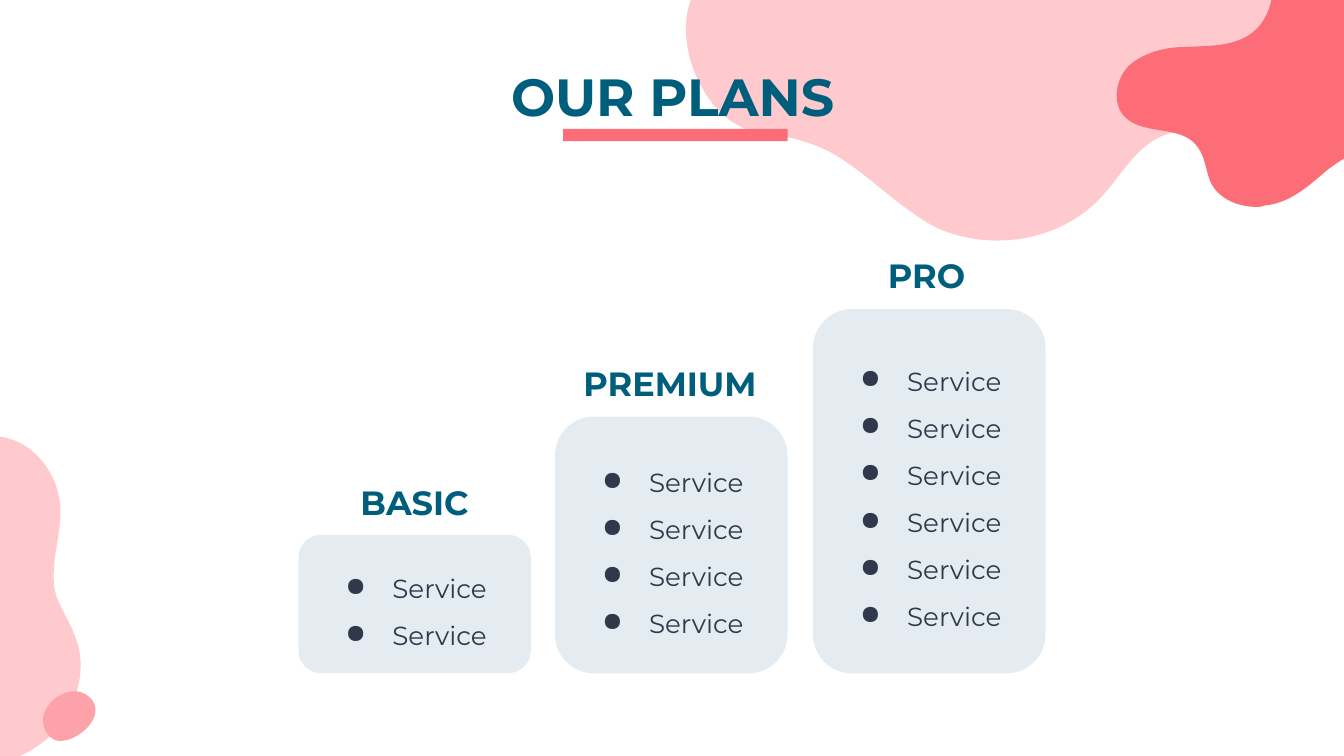
from dataclasses import dataclass

from lxml import etree
from pptx import Presentation
from pptx.dml.color import RGBColor
from pptx.enum.shapes import MSO_SHAPE
from pptx.enum.text import MSO_ANCHOR, PP_ALIGN
from pptx.oxml.ns import qn
from pptx.util import Pt

RECT, ROUND = MSO_SHAPE.RECTANGLE, MSO_SHAPE.ROUNDED_RECTANGLE
TOP, MIDDLE = MSO_ANCHOR.TOP, MSO_ANCHOR.MIDDLE
LEFT, CENTER = PP_ALIGN.LEFT, PP_ALIGN.CENTER
EMU_PER_PX = 9144  # 100 px to the inch


@dataclass(frozen=True)
class Theme:
    font: str = "Montserrat"
    heading: str = "005E7D"
    body: str = "30394B"
    card: str = "E4ECF1"
    accent: str = "FC6D78"
    blush: str = "FECACE"
    rose: str = "FDA2A9"
    title_size: int = 28
    label_size: int = 18
    body_size: int = 14


THEME = Theme()

# Blobs: start point, then cubic curves as (control, control, end)
TOP_BLOB = (625, -1), [
    (561, -1, 514, -1, 514, 0),
    (506, 21, 512, 49, 524, 68), (531, 80, 542, 91, 555, 96),
    (563, 99, 573, 100, 582, 101), (595, 104, 609, 108, 621, 115),
    (648, 131, 670, 156, 698, 170), (712, 176, 727, 179, 742, 179),
    (771, 179, 800, 168, 820, 146), (834, 131, 844, 111, 863, 102),
    (874, 97, 887, 96, 898, 93), (917, 87, 933, 74, 942, 57),
    (952, 40, 954, 19, 949, 0), (949, 0, 754, -1, 625, -1)]
CORNER_BLOB = (946, 0), [
    (944, 10, 939, 19, 931, 25), (917, 35, 899, 34, 882, 35),
    (867, 35, 852, 39, 841, 48), (830, 58, 827, 77, 837, 87),
    (851, 101, 878, 93, 890, 108), (897, 116, 897, 127, 901, 136),
    (907, 148, 921, 154, 935, 154), (937, 154, 939, 154, 941, 153),
    (960, 151, 973, 139, 987, 127), (991, 124, 995, 121, 1000, 118)]
LEFT_BLOB = (0, 568), [
    (18, 563, 35, 553, 47, 537), (55, 525, 60, 510, 60, 495),
    (60, 488, 59, 481, 56, 474), (52, 462, 44, 452, 41, 440),
    (40, 436, 40, 432, 40, 427), (40, 412, 45, 397, 45, 381),
    (45, 380, 45, 379, 45, 378), (44, 360, 35, 344, 22, 334),
    (15, 329, 8, 326, 0, 325)]
PEBBLE = (71, 529), [
    (71, 529, 71, 529, 71, 528), (71, 522, 66, 517, 60, 515),
    (48, 512, 34, 522, 32, 534), (32, 535, 32, 536, 32, 536),
    (32, 543, 36, 549, 42, 551), (48, 552, 53, 550, 58, 547),
    (61, 545, 65, 542, 67, 539), (69, 536, 71, 533, 71, 529)]

# Plans: name, label left and top, card left and height, list height, services
PLANS = [("BASIC", 222, 356, 222, 103, 63, 2),
         ("PREMIUM", 412, 267, 413, 191, 133, 4),
         ("PRO", 603, 187, 605, 271, 200, 6)]
CARD_W, CARD_BOTTOM, LABEL_H = 173, 501, 36


def px(n):
    return n * EMU_PER_PX


def paint(s, color):
    s.shadow.inherit = False
    s.fill.solid()
    s.fill.fore_color.rgb = RGBColor.from_string(color)
    s.line.fill.background()


def add_block(slide, kind, x, y, w, h, color):
    s = slide.shapes.add_shape(kind, px(x), px(y), px(w), px(h))
    paint(s, color)
    return s


def add_blob(slide, blob, color, corners=()):
    """Draw a closed outline of cubic curves, then any straight corners."""
    start, curves = blob
    points = [c[i:i + 2] for c in curves for i in (0, 2, 4)]
    builder = slide.shapes.build_freeform(*start, scale=EMU_PER_PX)
    builder.add_line_segments([*points, *corners], close=True)
    s = builder.convert_to_shape()
    paint(s, color)
    # Join each three line segments into one curve
    lines = list(s._element.iter(qn("a:lnTo")))
    for i in range(0, len(points), 3):
        curve = etree.Element(qn("a:cubicBezTo"))
        lines[i].addprevious(curve)
        for line in lines[i:i + 3]:
            curve.append(line[0])
            line.getparent().remove(line)


def add_bullet(p):
    pPr = p._p.get_or_add_pPr()
    pPr.set("marL", str(px(50)))
    pPr.set("indent", str(px(-35)))
    clr = etree.SubElement(pPr, qn("a:buClr"))
    etree.SubElement(clr, qn("a:srgbClr"), val=THEME.body)
    etree.SubElement(pPr, qn("a:buChar"), char="●")


def add_text(slide, lines, x, y, w, h, *, size, color, bold=False,
             align=CENTER, anchor=MIDDLE, inset=10, bullets=False):
    tf = slide.shapes.add_textbox(px(x), px(y), px(w), px(h)).text_frame
    tf.word_wrap = True
    tf.vertical_anchor = anchor
    tf.margin_left = px(inset)
    tf.margin_right = tf.margin_top = tf.margin_bottom = px(10)
    for i, line in enumerate(lines):
        p = tf.add_paragraph() if i else tf.paragraphs[0]
        p.alignment = align
        if bullets:
            p.line_spacing = 1.5
            p.space_before = Pt(0 if i else 10)
            add_bullet(p)
        r = p.add_run()
        r.text = line
        r.font.name, r.font.size, r.font.bold = THEME.font, Pt(size), bold
        r.font.color.rgb = RGBColor.from_string(color)


def add_plan(slide, name, label_x, label_y, left, card_h, list_h, count):
    top = CARD_BOTTOM - card_h
    card = add_block(slide, ROUND, left, top, CARD_W, card_h, THEME.card)
    card.adjustments[0] = 0.167
    add_text(slide, [name], label_x, label_y, CARD_W, LABEL_H,
             size=THEME.label_size, color=THEME.heading, bold=True)
    add_text(slide, ["Service"] * count, left, top + (card_h - list_h) // 2,
             CARD_W, list_h, size=THEME.body_size, color=THEME.body,
             align=LEFT, inset=20, bullets=True)


def main():
    prs = Presentation()
    prs.slide_width = px(1000)
    prs.slide_height = prs.slide_width * 9 // 16
    slide = prs.slides.add_slide(prs.slide_layouts[6])

    # Background blobs
    add_blob(slide, TOP_BLOB, THEME.blush)
    add_blob(slide, CORNER_BLOB, THEME.accent, corners=[(1000, 0)])

    # Title with underline
    add_text(slide, ["OUR PLANS"], 79, 38, 843, 63, size=THEME.title_size,
             color=THEME.heading, bold=True, anchor=TOP)
    add_block(slide, RECT, 419, 96, 167, 9, THEME.accent)

    # Rising plan cards
    for plan in PLANS:
        add_plan(slide, *plan)

    # Lower left blobs
    add_blob(slide, LEFT_BLOB, THEME.blush)
    add_blob(slide, PEBBLE, THEME.rose)

    prs.save("out.pptx")


if __name__ == "__main__":
    main()
